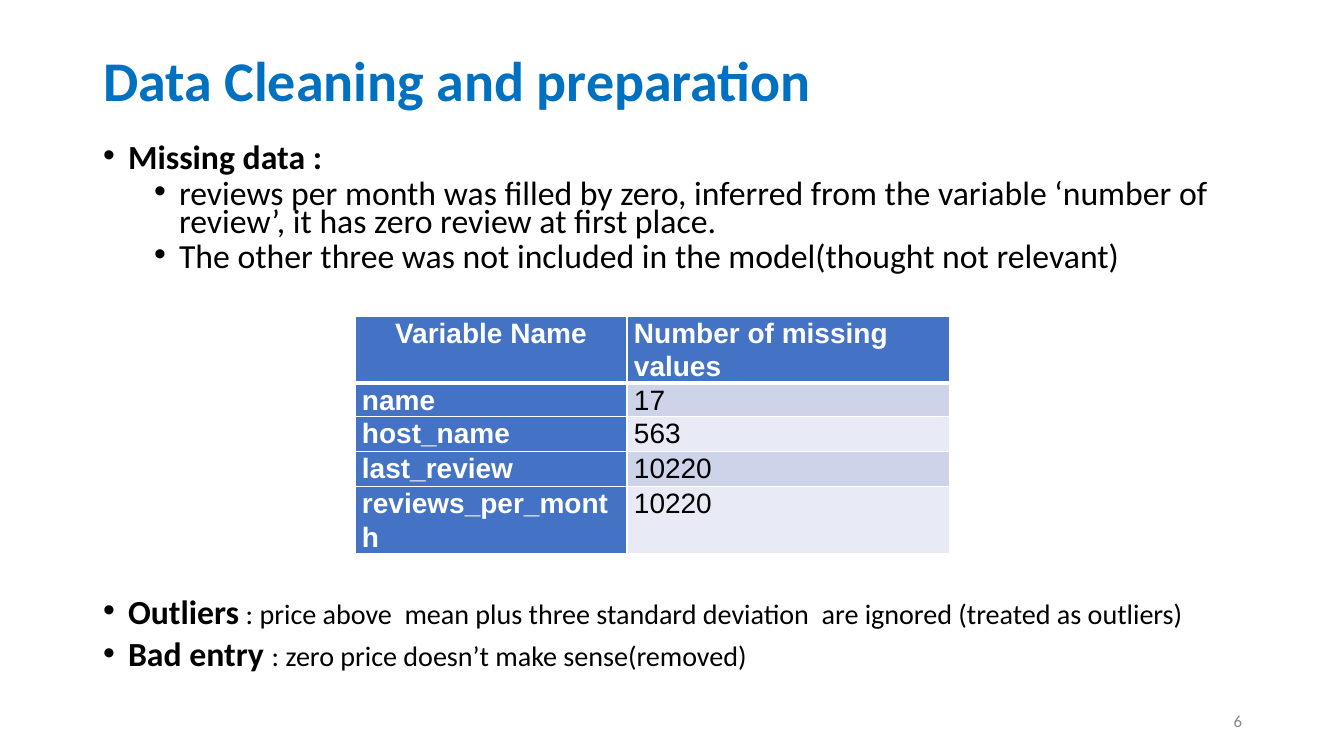
import pptx
import pptx.util
import pptx.dml.color
import pptx.enum.text
import lxml.etree

TITLE = "Data Cleaning and preparation"
BULLETS = [
    (0, 0, [("Missing data :", 24.1, True)]),
    (1, 5, [("reviews per month was filled by zero, inferred from the variable "
             "‘number of review’, it has zero review at first place.", 24.1, False)]),
    (1, 5, [("The other three was not included in the model(thought not relevant)", 24.1, False)]),
    (0, 234, [("Outliers", 24.1, True),
              (" : price above  mean plus three standard deviation  are ignored (treated as outliers)",
               20.1, False)]),
    (0, 10, [("Bad entry ", 24.1, True), (": zero price doesn’t make sense(removed)", 20.1, False)]),
]
MISSING_VALUES = [
    ("Variable Name", "Number of missing values"),
    ("name", "17"),
    ("host_name", "563"),
    ("last_review", "10220"),
    ("reviews_per_month", "10220"),
]
PAGE_NUMBER = "6"
COLORS = {"title": "0070C0", "text": "000000", "page": "888888", "header": "4472C4",
          "white": "FFFFFF", "odd": "CDD4EA", "even": "E8EBF5"}
COLUMN_WIDTHS = (272, 323)
ROW_HEIGHTS = (60, 29, 35, 35, 60)
INDENTS = (25, 76)
HANGING = 25
SCALE = 914400 / 100.8

Align = pptx.enum.text.PP_ALIGN
Anchor = pptx.enum.text.MSO_ANCHOR


def px(value):
    return pptx.util.Emu(round(value * SCALE))


def place(shape, left, top, width, height):
    shape.left, shape.top, shape.width, shape.height = map(px, (left, top, width, height))


def style(font, name, size, color, bold=False):
    font.name = name
    font.size = pptx.util.Pt(size)
    font.bold = bold
    font.color.rgb = pptx.dml.color.RGBColor.from_string(COLORS[color])


def add_xml(parent, tag, **attributes):
    element = lxml.etree.SubElement(parent, pptx.oxml.ns.qn(tag))
    for key, value in attributes.items():
        element.set(key, str(value))
    return element


def add_bullet(paragraph, level):
    properties = paragraph._p.get_or_add_pPr()
    properties.set("marL", str(px(INDENTS[level])))
    properties.set("indent", str(-px(HANGING)))
    add_xml(add_xml(properties, "a:buClr"), "a:srgbClr", val=COLORS["text"])
    add_xml(properties, "a:buFont", typeface="Arial")
    add_xml(properties, "a:buChar", char="•")


def add_borders(cell, bottom_width):
    properties = cell._tc.get_or_add_tcPr()
    for side, width in (("L", 1), ("R", 1), ("T", 1), ("B", bottom_width)):
        line = add_xml(properties, f"a:ln{side}", w=pptx.util.Pt(width))
        add_xml(add_xml(line, "a:solidFill"), "a:srgbClr", val=COLORS["white"])


presentation = pptx.Presentation()
presentation.slide_width, presentation.slide_height = px(1344), px(756)
slide = presentation.slides.add_slide(presentation.slide_layouts[1])

title = slide.shapes.title
place(title, 93, 40, 1159, 86)
title.text_frame.text = TITLE
title.text_frame.auto_size = pptx.enum.text.MSO_AUTO_SIZE.NONE
title.text_frame.vertical_anchor = Anchor.MIDDLE
paragraph = title.text_frame.paragraphs[0]
paragraph.alignment = Align.LEFT
paragraph.line_spacing = 0.9
style(paragraph.font, "Calibri", 40, "title", True)

body = slide.placeholders[1]
place(body, 93, 142, 1159, 574)
body.text_frame.auto_size = pptx.enum.text.MSO_AUTO_SIZE.NONE
for index, (level, space_before, runs) in enumerate(BULLETS):
    paragraph = body.text_frame.add_paragraph() if index else body.text_frame.paragraphs[0]
    paragraph.level = level
    paragraph.line_spacing = 0.7
    paragraph.space_before = pptx.util.Pt(space_before)
    add_bullet(paragraph, level)
    for text, size, bold in runs:
        run = paragraph.add_run()
        run.text = text
        style(run.font, "Calibri", size, "text", bold)

table = slide.shapes.add_table(len(MISSING_VALUES), len(COLUMN_WIDTHS), px(355), px(316),
                               px(sum(COLUMN_WIDTHS)), px(sum(ROW_HEIGHTS))).table
for column, width in zip(table.columns, COLUMN_WIDTHS):
    column.width = px(width)
for row_index, (row, height) in enumerate(zip(table.rows, ROW_HEIGHTS)):
    row.height = px(height)
    for column_index, text in enumerate(MISSING_VALUES[row_index]):
        heading = row_index == 0 or column_index == 0
        fill = "header" if heading else ("odd" if row_index % 2 else "even")
        cell = table.cell(row_index, column_index)
        cell.text = text
        cell.margin_left = cell.margin_right = px(7)
        cell.margin_top = cell.margin_bottom = 0
        add_borders(cell, 1 if row_index else 3)
        cell.fill.solid()
        cell.fill.fore_color.rgb = pptx.dml.color.RGBColor.from_string(COLORS[fill])
        paragraph = cell.text_frame.paragraphs[0]
        paragraph.alignment = Align.CENTER if row_index == column_index == 0 else Align.LEFT
        paragraph.line_spacing = 1.07
        style(paragraph.font, "Arial", 20, "white" if heading else "text", heading)

page_box = slide.shapes.add_textbox(px(950), px(701), px(302), px(40))
page_box.text_frame.word_wrap = True
page_box.text_frame.vertical_anchor = Anchor.MIDDLE
paragraph = page_box.text_frame.paragraphs[0]
paragraph.text = PAGE_NUMBER
paragraph.alignment = Align.RIGHT
style(paragraph.font, "Calibri", 12, "page")

presentation.save("out.pptx")
